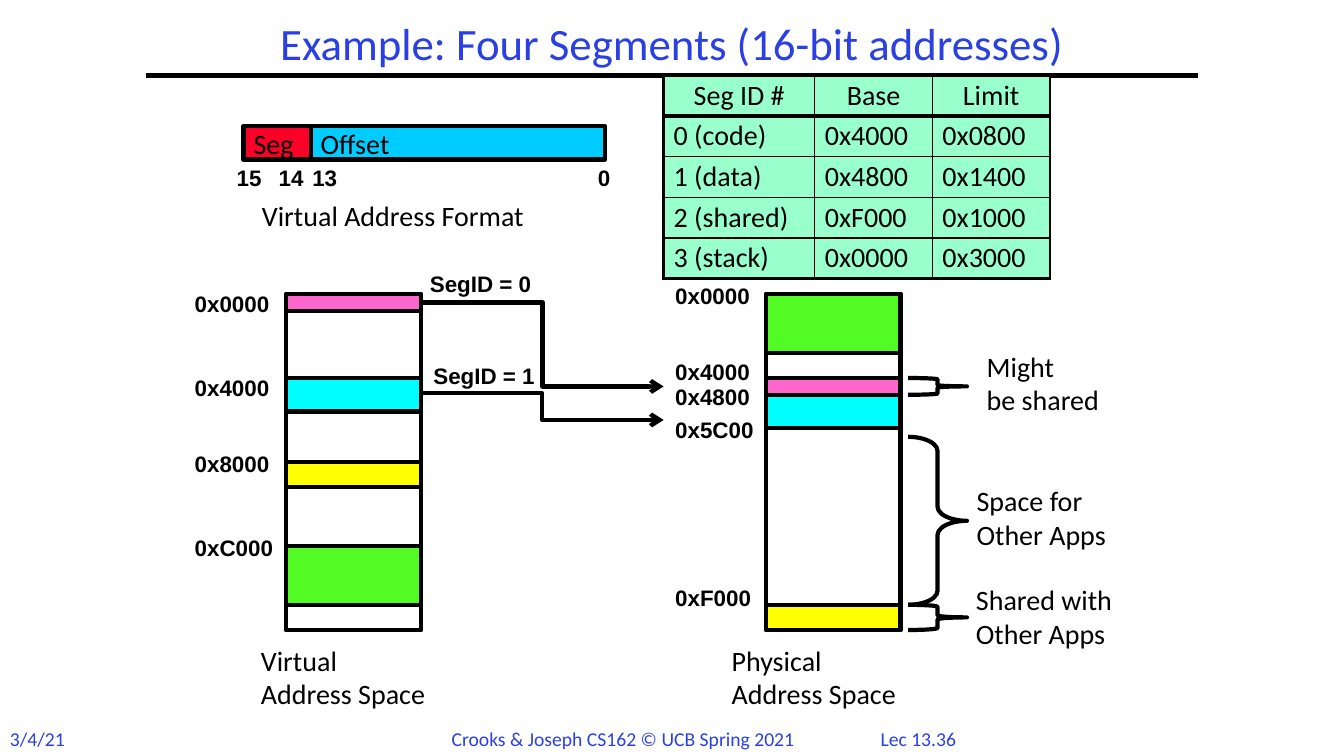
import pptx
import pptx.dml.color
import pptx.enum.shapes
import pptx.enum.text
import pptx.oxml
import pptx.oxml.ns
import pptx.util

Pt = pptx.util.Pt
SHAPE = pptx.enum.shapes.MSO_SHAPE
LINK = pptx.enum.shapes.MSO_CONNECTOR
ALIGN = pptx.enum.text.PP_ALIGN
ANCHOR = pptx.enum.text.MSO_ANCHOR
FIT = pptx.enum.text.MSO_AUTO_SIZE
SPACE = pptx.oxml.ns.nsdecls("a")

BLACK, BLUE = "000000", "2A40E2"
PINK, CYAN, GREEN, YELLOW = "FF66CC", "00FFFF", "53FB25", "FFFF00"
MINT, RED, SKY = "99FFCC", "FC0128", "00CCFF"
TOP, HIGH, WIDE = 210, 240, 96

ROWS = [
    ("Seg ID #", "Base", "Limit"),
    ("0 (code)", "0x4000", "0x0800"),
    ("1 (data)", "0x4800", "0x1400"),
    ("2 (shared)", "0xF000", "0x1000"),
    ("3 (stack)", "0x0000", "0x3000"),
]


def paint(part, color):
    """Give a fill or font the colour of a hex string."""
    if hasattr(part, "solid"):
        part.solid()
        part = part.fore_color
    else:
        part = part.color
    part.rgb = pptx.dml.color.RGBColor.from_string(color)


def write(frame, text, size=20, font="Calibri", color=BLACK, bold=False,
          align=ALIGN.LEFT, space=None):
    """Fill a text frame, one paragraph for each line."""
    for i, line in enumerate(text.split("\n")):
        para = frame.add_paragraph() if i else frame.paragraphs[0]
        para.alignment = align
        para.line_spacing = space
        run = para.add_run()
        run.text = line
        run.font.name, run.font.size, run.font.bold = font, Pt(size), bold
        paint(run.font, color)


def label(slide, text, left, top, width, height, wrap=False, **style):
    """Add a text box that fits its text."""
    box = slide.shapes.add_textbox(Pt(left), Pt(top), Pt(width), Pt(height))
    frame = box.text_frame
    frame.word_wrap = wrap
    frame.auto_size = FIT.SHAPE_TO_FIT_TEXT
    write(frame, text, **style)
    return frame


def mark(slide, text, left, top, width=74):
    """Add a bold address or bit label."""
    label(slide, text, left, top, width, 26.6, size=16, font="Arial", bold=True)


def shape(slide, kind, left, top, width, height, fill=None):
    """Add a black outlined shape, filled or clear."""
    item = slide.shapes.add_shape(kind, Pt(left), Pt(top), Pt(width), Pt(height))
    item.shadow.inherit = False
    if fill:
        paint(item.fill, fill)
    else:
        item.fill.background()
    paint(item.line.fill, BLACK)
    item.line.width = Pt(3)
    return item


def field(slide, text, left, width, fill):
    """Add one field of the address format."""
    frame = shape(slide, SHAPE.RECTANGLE, left, 90, width, 24, fill).text_frame
    frame.word_wrap = False
    frame.vertical_anchor = ANCHOR.MIDDLE
    write(frame, text)


def brace(slide, top, height, bend):
    """Add a right brace beside physical memory."""
    item = shape(slide, SHAPE.RIGHT_BRACE, 648.7, top, 42, height)
    item.adjustments[0] = bend


def link(slide, kind, start, end, arrow=False):
    """Add a black line or an elbow arrow."""
    item = slide.shapes.add_connector(kind, *map(Pt, start + end))
    paint(item.line.fill, BLACK)
    item.line.width = Pt(3)
    props = item._element.spPr
    if arrow:
        props.find(pptx.oxml.ns.qn("a:ln")).append(
            pptx.oxml.parse_xml(f'<a:tailEnd {SPACE} type="arrow"/>'))
    props.append(pptx.oxml.parse_xml(f"<a:effectLst {SPACE}/>"))


def edge(cell, sides):
    """Draw the borders of a cell from side and width pairs."""
    props = cell._tc.get_or_add_tcPr()
    for side, width in sides.items():
        props.append(pptx.oxml.parse_xml(
            f'<a:ln{side} {SPACE} w="{Pt(width)}">'
            f'<a:solidFill><a:srgbClr val="{BLACK}"/></a:solidFill></a:ln{side}>'))


def grid(slide):
    """Add the segment table."""
    last, end = len(ROWS) - 1, len(ROWS[0]) - 1
    table = slide.shapes.add_table(len(ROWS), len(ROWS[0]), Pt(474), Pt(54),
                                   Pt(276), Pt(145)).table
    table.first_row = table.horz_banding = False
    for column, width in zip(table.columns, (108, 84, 84)):
        column.width = Pt(width)
    for r, row in enumerate(ROWS):
        table.rows[r].height = Pt(29)
        for c, text in enumerate(row):
            cell = table.cell(r, c)
            edge(cell, {"L": 1 if c else 2.25,
                        "R": 2.25 if c == end else 1,
                        "T": {0: 2.25, 1: 3}.get(r, 1),
                        "B": {0: 3, last: 2.25}.get(r, 1)})
            paint(cell.fill, MINT)
            write(cell.text_frame, text, space=0.9,
                  align=ALIGN.LEFT if r else ALIGN.CENTER)


def memory(slide, left, blocks, side, marks):
    """Add an address space with its blocks and address labels."""
    for down, height, fill in [(0, HIGH, None)] + blocks:
        shape(slide, SHAPE.RECTANGLE, left, TOP + down, WIDE, height, fill)
    for text, top in marks:
        mark(slide, text, side, top)


def main():
    """Build the slide and save it."""
    deck = pptx.Presentation()
    deck.slide_width, deck.slide_height = Pt(960), Pt(540)
    slide = deck.slides.add_slide(deck.slide_layouts[6])

    link(slide, LINK.STRAIGHT, (104, 54), (856, 54))
    foot = dict(wrap=True, size=14, color=BLUE)
    label(slide, "Lec 13.36", 612, 515.5, 88, 24, align=ALIGN.CENTER, **foot)
    label(slide, "3/4/21", 0, 515.5, 58, 24, **foot)
    label(slide, "Crooks & Joseph CS162 © UCB Spring 2021",
          315.5, 515.5, 271, 24, **foot)
    title = label(slide, "Example: Four Segments (16-bit addresses)",
                  120, 12, 720, 42, wrap=True, size=32, color=BLUE,
                  align=ALIGN.CENTER, space=0.9)
    title.auto_size = FIT.NONE
    title.vertical_anchor = ANCHOR.MIDDLE
    grid(slide)

    field(slide, "Offset", 222, 210, SKY)
    field(slide, "Seg", 174, 48, RED)
    for text, left, width in (("15", 162, 32.4), ("14", 192, 32.4),
                              ("13", 216, 32.4), ("0", 420, 23)):
        mark(slide, text, left, 114, width)
    label(slide, "Virtual Address Format", 180, 138, 220, 31)

    memory(slide, 204.5,
           [(0, 12, PINK), (60, 24, CYAN), (180, 42, GREEN),
            (180, 60, None), (120, 18, YELLOW)],
           132, [("0x0000", 204), ("0x4000", 264),
                 ("0x8000", 318), ("0xC000", 378)])
    memory(slide, 547.2,
           [(60, 12, PINK), (72, 24, CYAN), (0, 42, GREEN), (222, 18, YELLOW)],
           475.2, [("0x0000", 198), ("0x4000", 252), ("0x4800", 270),
                   ("0x5C00", 294), ("0xF000", 414)])

    for top, height, bend in ((312, 120, 0.24), (270, 12, 0.08), (432, 18, 0.08)):
        brace(slide, top, height, bend)
    for text, left, top, width in (
            ("Virtual\nAddress Space", 179.3, 456, 151),
            ("Physical\nAddress Space", 515.5, 456, 151),
            ("Might\nbe shared", 697.7, 246, 104),
            ("Space for\nOther Apps", 690.5, 342, 115),
            ("Shared with\nOther Apps", 690, 412.5, 126)):
        label(slide, text, left, top, width, 55.5)

    link(slide, LINK.ELBOW, (301, 216), (474, 276), arrow=True)
    link(slide, LINK.ELBOW, (300.5, 281), (474, 300), arrow=True)
    mark(slide, "SegID = 0", 300, 189.5, 90)
    mark(slide, "SegID = 1", 302.5, 255.5, 90)

    deck.save("out.pptx")


if __name__ == "__main__":
    main()
